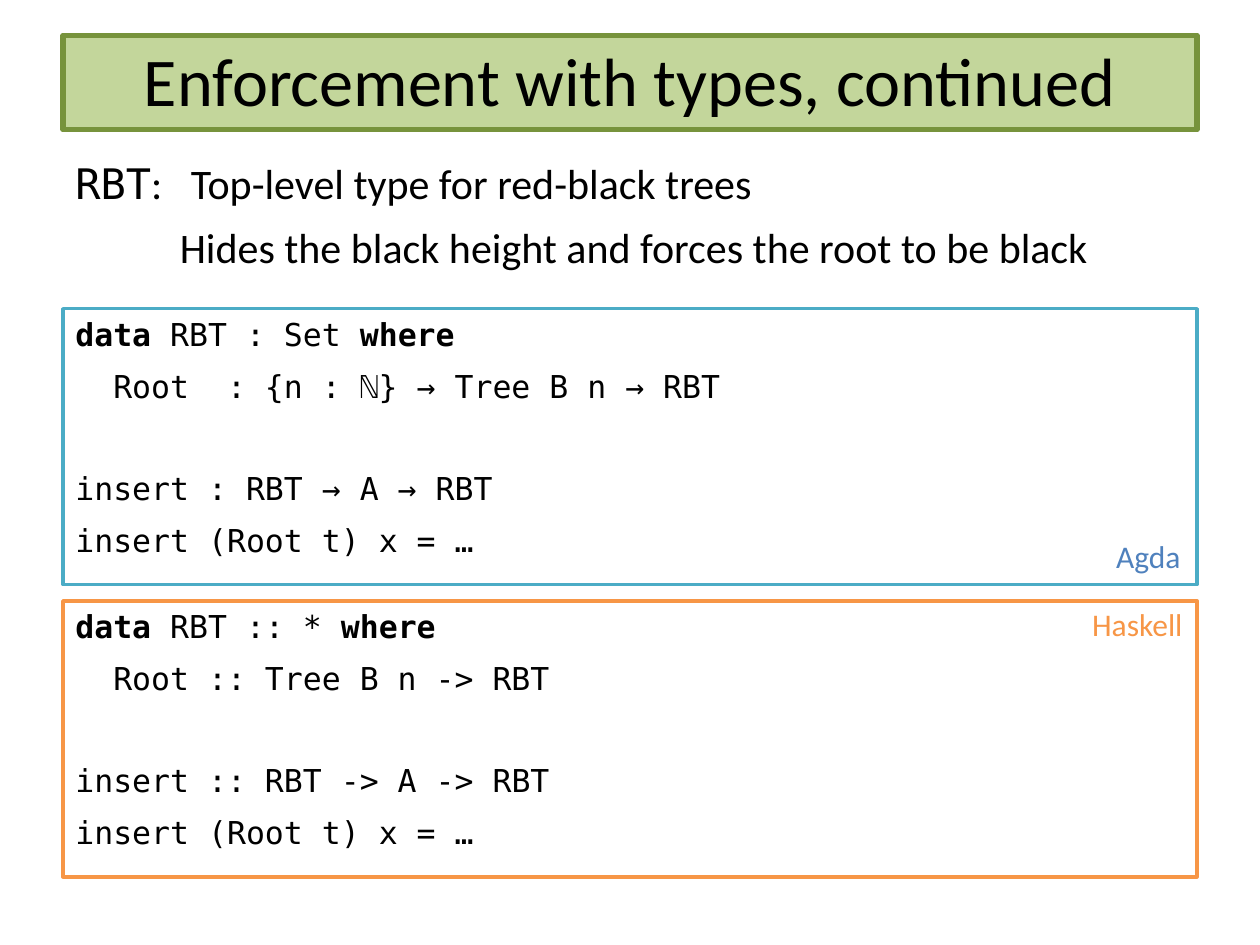
from dataclasses import dataclass

from pptx import Presentation
from pptx.dml.color import RGBColor
from pptx.enum.shapes import MSO_SHAPE
from pptx.enum.text import MSO_ANCHOR, MSO_AUTO_SIZE, PP_ALIGN
from pptx.util import Pt


@dataclass(frozen=True)
class Theme:
    text_font: str = "Calibri"
    code_font: str = "DejaVu Sans Mono"
    black: str = "000000"
    white: str = "FFFFFF"
    title_fill: str = "C3D69B"
    title_line: str = "77933C"
    agda_line: str = "4BACC6"
    agda_label: str = "4F81BD"
    haskell: str = "F79646"
    title_size: float = 39
    body_size: float = 24
    code_size: float = 18
    paragraph_gap: float = 8


THEME = Theme()
CODE_INDENT = 21.67  # two monospaced characters
BLANK_LINE = 29      # height of one skipped code line


def paint(shape, fill, line, width):
    shape.fill.solid()
    shape.fill.fore_color.rgb = RGBColor.from_string(fill)
    shape.line.color.rgb = RGBColor.from_string(line)
    shape.line.width = Pt(width)


def set_frame(frame, anchor=MSO_ANCHOR.TOP, bottom=3.6):
    frame.word_wrap = True
    frame.auto_size = MSO_AUTO_SIZE.NONE
    frame.vertical_anchor = anchor
    frame.margin_left = frame.margin_right = Pt(7.2)
    frame.margin_top, frame.margin_bottom = Pt(3.6), Pt(bottom)


def add_run(paragraph, text, font, size, color=THEME.black, bold=False):
    run = paragraph.add_run()
    run.text = text
    run.font.name = font
    run.font.size = Pt(size)
    run.font.bold = bold
    run.font.color.rgb = RGBColor.from_string(color)


def next_paragraph(frame, first, margin=0, hanging=0, gap=THEME.paragraph_gap):
    paragraph = frame.paragraphs[0] if first else frame.add_paragraph()
    paragraph.alignment = PP_ALIGN.LEFT
    paragraph.space_before = Pt(gap)
    properties = paragraph._p.get_or_add_pPr()
    properties.set("marL", str(Pt(margin)))
    properties.set("indent", str(Pt(-hanging)))
    return paragraph


def add_title(slide, left, top, width, height):
    title = slide.shapes.title
    title.left, title.top = Pt(left), Pt(top)
    title.width, title.height = Pt(width), Pt(height)
    paint(title, THEME.title_fill, THEME.title_line, 3)
    set_frame(title.text_frame, MSO_ANCHOR.MIDDLE, bottom=7.2)
    paragraph = title.text_frame.paragraphs[0]
    paragraph.alignment = PP_ALIGN.CENTER
    add_run(paragraph, "Enforcement with types, continued",
            THEME.text_font, THEME.title_size)


def add_description(slide, left, top, width, height):
    box = slide.shapes.add_textbox(Pt(left), Pt(top), Pt(width), Pt(height))
    frame = box.text_frame
    set_frame(frame)
    # The term hangs to the left of its explanation
    term = next_paragraph(frame, True, margin=66, hanging=66)
    add_run(term, "RBT", THEME.code_font, THEME.body_size)
    add_run(term, ":\tTop-level type for red-black trees",
            THEME.text_font, THEME.body_size)
    detail = next_paragraph(frame, False, margin=59.7)
    add_run(detail, "Hides the black height and forces the root to be black",
            THEME.text_font, THEME.body_size)


def add_code_box(slide, left, top, width, height, color, signature, constructor, insert):
    box = slide.shapes.add_shape(MSO_SHAPE.RECTANGLE, Pt(left), Pt(top),
                                 Pt(width), Pt(height))
    box.shadow.inherit = False
    paint(box, THEME.white, color, 2)
    frame = box.text_frame
    set_frame(frame)
    # Data declaration with bold keywords
    declaration = next_paragraph(frame, True)
    for text, bold in (("data ", True), (signature, False), ("where", True)):
        add_run(declaration, text, THEME.code_font, THEME.code_size, bold=bold)
    # Constructor, then the insert function after a gap
    gap = THEME.paragraph_gap
    for text, margin, space in ((constructor, CODE_INDENT, gap),
                                (insert, 0, gap + BLANK_LINE),
                                ("insert (Root t) x = …", 0, gap)):
        paragraph = next_paragraph(frame, False, margin=margin, gap=space)
        add_run(paragraph, text, THEME.code_font, THEME.code_size)


def add_language_label(slide, left, top, width, height, text, color):
    label = slide.shapes.add_textbox(Pt(left), Pt(top), Pt(width), Pt(height))
    set_frame(label.text_frame)
    label.text_frame.word_wrap = False
    label.text_frame.auto_size = MSO_AUTO_SIZE.SHAPE_TO_FIT_TEXT
    add_run(label.text_frame.paragraphs[0], text,
            THEME.text_font, THEME.code_size, color)


def main():
    presentation = Presentation()
    presentation.slide_width, presentation.slide_height = Pt(720), Pt(540)
    slide = presentation.slides.add_slide(presentation.slide_layouts[5])
    left, width, code_height = 36, 648, 157.7

    add_title(slide, left, 20.2, width, 54)
    add_description(slide, left, 86.4, width, 84)
    add_code_box(slide, left, 176.4, width, code_height, THEME.agda_line,
                 "RBT : Set ", "Root  : {n : ℕ} → Tree B n → RBT",
                 "insert : RBT → A → RBT")
    add_code_box(slide, left, 343.4, width, code_height, THEME.haskell,
                 "RBT :: * ", "Root :: Tree B n -> RBT",
                 "insert :: RBT -> A -> RBT")
    add_language_label(slide, 630.7, 303.1, 51.8, 28.8, "Agda", THEME.agda_label)
    add_language_label(slide, 617, 342, 67, 28.8, "Haskell", THEME.haskell)

    presentation.save("out.pptx")


if __name__ == "__main__":
    main()
